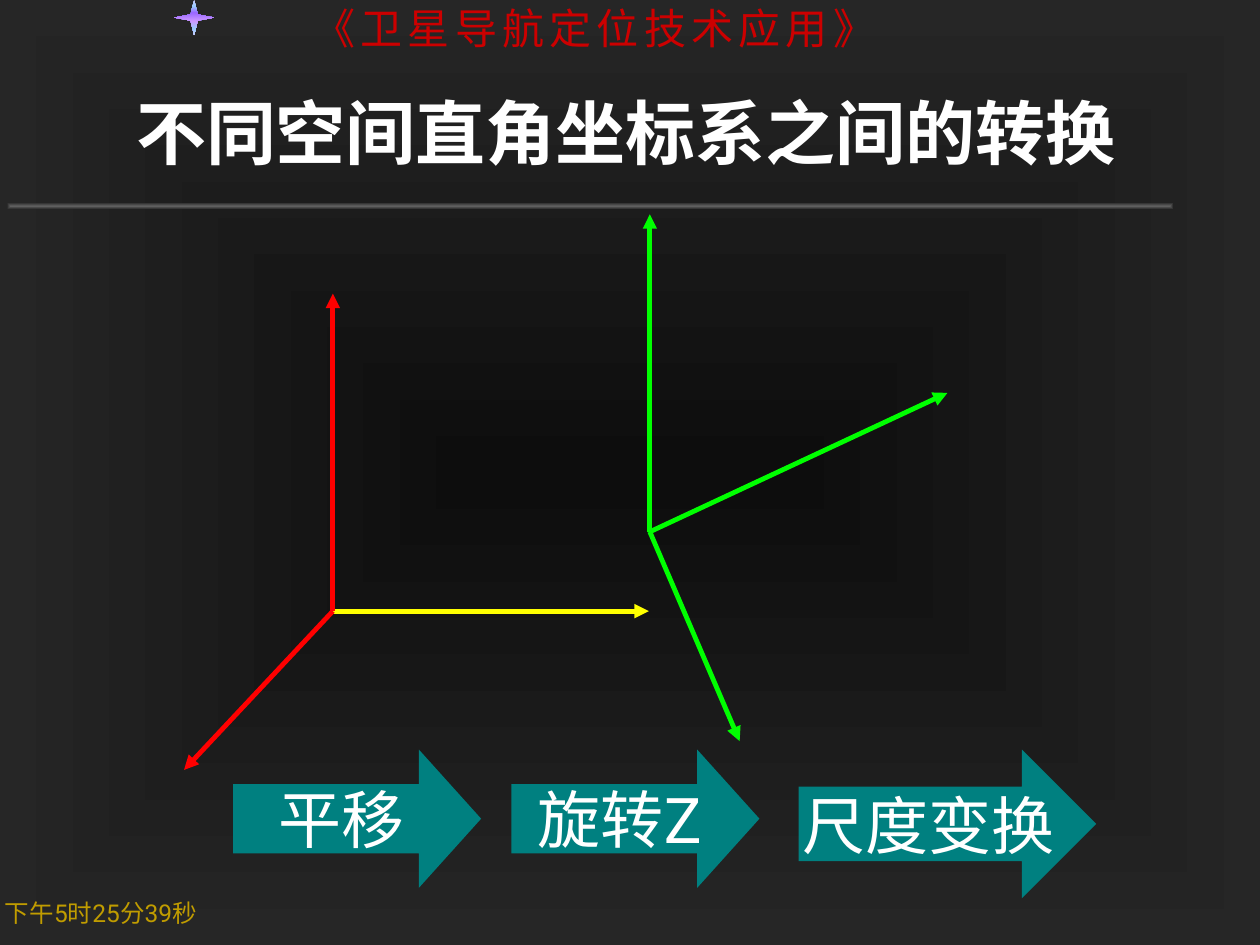
from dataclasses import dataclass

from lxml import etree
from pptx import Presentation
from pptx.dml.color import RGBColor
from pptx.enum.shapes import MSO_CONNECTOR, MSO_SHAPE
from pptx.enum.text import MSO_ANCHOR, PP_ALIGN
from pptx.oxml.ns import qn
from pptx.util import Cm, Pt

LINE = MSO_CONNECTOR.STRAIGHT
STAR, RECT, ARROW = MSO_SHAPE.STAR_4_POINT, MSO_SHAPE.RECTANGLE, MSO_SHAPE.RIGHT_ARROW
LEFT, CENTER = PP_ALIGN.LEFT, PP_ALIGN.CENTER
TOP, MIDDLE, BOTTOM = MSO_ANCHOR.TOP, MSO_ANCHOR.MIDDLE, MSO_ANCHOR.BOTTOM


@dataclass(frozen=True)
class Theme:
    font: str = "Roboto"
    cjk: str = "Noto Sans CJK SC"
    white: str = "FFFFFF"
    red: str = "FF0000"
    yellow: str = "FFFF00"
    green: str = "00FF00"
    teal: str = "008080"
    header: str = "CC0000"
    clock: str = "C09C00"
    backdrop: tuple = ((0, "0D0D0D"), (100, "262626"))
    rule: tuple = ((0, "5F5F5F"), (100, "2C2C2C"))
    star: tuple = ((0, "CCCCFF"), (18, "99CCFF"), (36, "9966FF"),
                   (61, "CC99FF"), (82, "99CCFF"), (100, "CCCCFF"))
    title_size: int = 40
    step_size: int = 36
    header_size: int = 24
    clock_size: int = 14
    axis_width: float = 2.75


T = Theme()


def set_gradient(fill, root, stops, angle=None):
    fill.gradient()
    grad = next(root.iter(qn("a:gradFill")))
    for child in list(grad):
        grad.remove(child)
    gs_list = etree.SubElement(grad, qn("a:gsLst"))
    for pos, color in stops:
        gs = etree.SubElement(gs_list, qn("a:gs"), pos=str(pos * 1000))
        etree.SubElement(gs, qn("a:srgbClr"), val=color)
    if angle is not None:
        etree.SubElement(grad, qn("a:lin"), ang=str(angle * 60000), scaled="1")
    else:
        shade = etree.SubElement(grad, qn("a:path"), {"path": "shape"})
        etree.SubElement(shade, qn("a:fillToRect"),
                         dict.fromkeys("ltrb", "50000"))


def set_text(sp, text, size, color, font=T.font, bold=False, align=LEFT,
             anchor=TOP, wrap=True, spacing=None):
    tf = sp.text_frame
    tf.text = text
    tf.word_wrap = wrap
    tf.vertical_anchor = anchor
    p = tf.paragraphs[0]
    p.alignment = align
    r = p.runs[0]
    r.font.name = font
    r.font.size = Pt(size)
    r.font.bold = bold
    r.font.color.rgb = RGBColor.from_string(color)
    r_pr = r.font._element
    etree.SubElement(r_pr, qn("a:ea"), typeface=T.cjk)
    if spacing:
        r_pr.set("spc", str(spacing * 100))


def add_shape(s, kind, x, y, w, h):
    sp = s.shapes.add_shape(kind, Cm(x), Cm(y), Cm(w), Cm(h))
    sp.shadow.inherit = False
    sp.line.fill.background()
    return sp


def add_textbox(s, x, y, w, h):
    return s.shapes.add_textbox(Cm(x), Cm(y), Cm(w), Cm(h))


def add_header(s, x, y, w):
    star = add_shape(s, STAR, x + 3.36, y, 0.81, 0.71)
    star.adjustments[0] = 0.125
    set_gradient(star.fill, star.element, T.star, 90)
    rule = add_shape(s, RECT, x, y + 4.09, w, 0.13)
    set_gradient(rule.fill, rule.element, T.rule)
    course = add_textbox(s, x + 5.92, y - 0.08, 15.42, 1.27)
    set_text(course, "《卫星导航定位技术应用》", T.header_size, T.header,
             font=T.cjk, spacing=3)


def add_title(s, x, y, w, h):
    title = s.shapes.title
    title.left, title.top, title.width, title.height = Cm(x), Cm(y), Cm(w), Cm(h)
    set_text(title, "不同空间直角坐标系之间的转换", T.title_size, T.white,
             bold=True, anchor=BOTTOM)


def add_axes(s, x, y, axes):
    for dx, dy, color in axes:
        axis = s.shapes.add_connector(LINE, Cm(x), Cm(y), Cm(x + dx), Cm(y + dy))
        axis.line.color.rgb = RGBColor.from_string(color)
        axis.line.width = Pt(T.axis_width)
        sp_pr = axis.element.spPr
        etree.SubElement(sp_pr.find(qn("a:ln")), qn("a:tailEnd"), type="triangle")
        etree.SubElement(sp_pr, qn("a:effectLst"))


def add_steps(s, x, y, steps):
    for text, dx, w, h, head in steps:
        sp = add_shape(s, ARROW, x + dx, y, w, h)
        sp.adjustments[0], sp.adjustments[1] = 0.5, head
        sp.fill.solid()
        sp.fill.fore_color.rgb = RGBColor.from_string(T.teal)
        set_text(sp, text, T.step_size, T.white, align=CENTER, anchor=MIDDLE,
                 wrap=False)


def add_clock(s, x, y, w, h):
    set_text(add_textbox(s, x, y, w, h), "下午5时25分39秒", T.clock_size, T.clock,
             anchor=BOTTOM)


def main():
    prs = Presentation()
    prs.slide_width, prs.slide_height = Cm(25.4), Cm(19.05)
    s = prs.slides.add_slide(prs.slide_layouts[5])
    set_gradient(s.background.fill, s.element, T.backdrop)
    add_header(s, 0.15, 0, 23.5)
    add_title(s, 2.49, 1.12, 20.4, 2.51)
    add_axes(s, 6.71, 12.32, [(6.37, 0, T.yellow), (0, -6.4, T.red),
                              (-3, 3.2, T.red)])
    add_steps(s, 4.7, 15.11, [("平移", 0, 5, 2.79, 0.45),
                              ("旋转Z", 5.61, 5, 2.79, 0.45),
                              ("尺度变换", 11.4, 6, 3, 0.5)])
    add_axes(s, 13.1, 10.72, [(6, -2.8, T.green), (0, -6.4, T.green),
                              (1.81, 4.22, T.green)])
    add_clock(s, -0.15, 17.55, 5.28, 1.27)
    prs.save("out.pptx")


if __name__ == "__main__":
    main()
